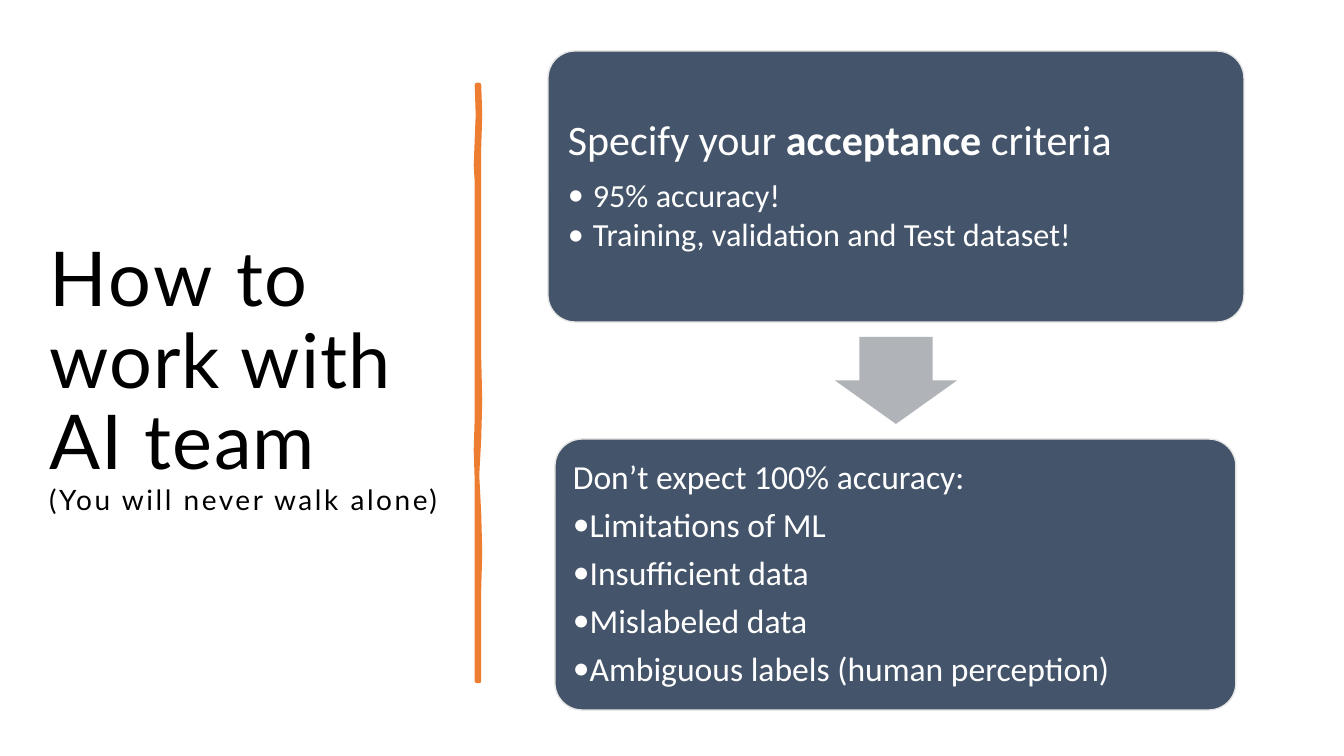
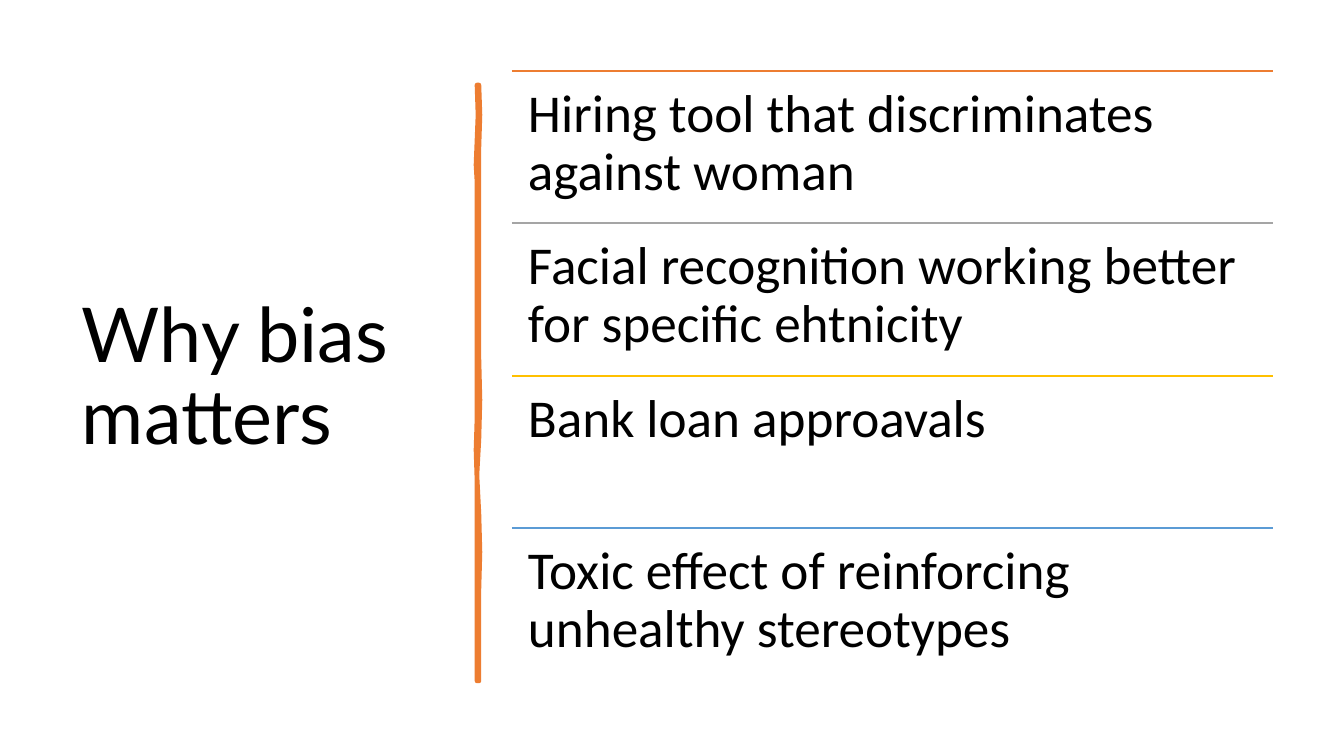
import pptx
import pptx.util
import pptx.dml.color
import pptx.enum.shapes
import pptx.enum.text
import pptx.oxml.ns
from lxml import etree

PX = 12192000 / 1344
INK = {"text": "000000", "white": "FFFFFF", "card": "44546A", "edge": "E7E6E6",
       "arrow": "B0B4B9", "orange": "ED7D31", "gray": "A5A5A5",
       "gold": "FFC000", "blue": "5B9BD5"}
RGB = {name: pptx.dml.color.RGBColor.from_string(code) for name, code in INK.items()}
KIND = pptx.enum.shapes.MSO_SHAPE
MID = pptx.enum.text.MSO_ANCHOR.MIDDLE
TOP = pptx.enum.text.MSO_ANCHOR.TOP

# Outline of the brush stroke: down the right edge, up the left
BRUSH = [(479, 85), (480, 115), (479, 147), (479, 228), (479, 296), (479, 359),
         (480, 400), (479, 439), (477, 475), (479, 514), (480, 552), (479, 589),
         (479, 681), (477, 681), (477, 618), (477, 561), (477, 481), (476, 450),
         (477, 418), (477, 338), (477, 252), (477, 182), (476, 165), (478, 115),
         (477, 85)]


def emu(*sizes):
    return [round(size * PX) for size in sizes]


def write(frame, rows, font, ink, inset, anchor):
    """Fill a frame with rows of (pieces, size, space after, bullet indent or None)."""
    frame.word_wrap = True
    frame.vertical_anchor = anchor
    frame.margin_left = frame.margin_right = frame.margin_top = frame.margin_bottom = emu(inset)[0]
    frame.text = "\n".join(row[0][0] for row in rows)
    for para, (pieces, size, after, dent) in zip(frame.paragraphs, rows):
        para.alignment = pptx.enum.text.PP_ALIGN.LEFT
        para.line_spacing = 0.9
        para.space_after = pptx.util.Pt(after)
        if dent is not None:
            props = para._p.get_or_add_pPr()
            props.set("marL", str(emu(dent)[0]))
            props.set("indent", str(emu(-dent)[0]))
            face = etree.SubElement(props, pptx.oxml.ns.qn("a:buFont"))
            face.set("typeface", font)
            mark = etree.SubElement(props, pptx.oxml.ns.qn("a:buChar"))
            mark.set("char", "•")
        for piece in pieces[1:]:
            if piece == "\v":
                para.add_line_break()
            else:
                para.add_run().text = piece
        for run in para.runs:
            run.font.name = font
            run.font.size = pptx.util.Pt(size)
            run.font.color.rgb = RGB[ink]


deck = pptx.Presentation()
deck.slide_width, deck.slide_height = emu(1344, 756)

# Shared by both slides: title at the left and a brush stroke beside it
pages = []
for title, left, width in (
        (["How ", "to ", "work with ", "\v", "AI team", "\v", "(You will never walk alone)"], 39, 440),
        (["Why bias matters"], 72, 377)):
    page = deck.slides.add_slide(deck.slide_layouts[6])
    pages.append(page)
    head = page.shapes.add_textbox(*emu(left, 71, width, 616))
    write(head.text_frame, [(title, 54, 0, None)], "Lato", "text", 10, MID)
    pen = page.shapes.build_freeform(*BRUSH[0], scale=PX)
    pen.add_line_segments(BRUSH[1:], close=True)
    brush = pen.convert_to_shape()
    brush.shadow.inherit = False
    brush.fill.solid()
    brush.fill.fore_color.rgb = brush.line.color.rgb = RGB["orange"]
    brush.line.width = pptx.util.Pt(3.25)

work, bias = pages

# Loosen the letters of the first title, in hundredths of a point
words = work.shapes[0].text_frame.paragraphs[0].runs
for run, gap in zip(words, (200, 80, 90, 100, 180)):
    run.font._element.set("spc", str(gap))
words[-1].font.size = pptx.util.Pt(20)

# Two cards joined by an arrow
limits = ["Limitations of ML", "Insufficient data", "Mislabeled data",
          "Ambiguous labels (human perception)"]
cards = [
    (548, 51, 696, 12, [(["Specify your ", "acceptance", " criteria"], 30, 10.5, None),
                        (["95% accuracy!"], 23, 3.45, 25),
                        (["Training, validation and Test dataset!"], 23, 3.45, 25)]),
    (555, 439, 681, 10, [(["Don’t expect 100% accuracy:"], 24, 8.4, None)]
     + [([limit], 24, 8.4, 0) for limit in limits]),
]
for left, top, width, inset, rows in cards:
    card = work.shapes.add_shape(KIND.ROUNDED_RECTANGLE, *emu(left, top, width, 271))
    card.adjustments[0] = 0.1
    card.shadow.inherit = False
    card.fill.solid()
    card.fill.fore_color.rgb = RGB["card"]
    card.line.color.rgb = RGB["edge"]
    card.line.width = pptx.util.Pt(1)
    write(card.text_frame, rows, "Calibri", "white", inset, MID)
    for run in card.text_frame.paragraphs[0].runs:
        run.font.bold = run.text == "acceptance"

arrow = work.shapes.add_shape(KIND.DOWN_ARROW, *emu(835, 337, 122, 87))
arrow.adjustments[0] = 0.6
arrow.adjustments[1] = 0.5
arrow.shadow.inherit = False
arrow.fill.solid()
arrow.fill.fore_color.rgb = RGB["arrow"]
arrow.line.fill.background()

# Four ruled rows
rules = [
    ("orange", "Hiring tool that discriminates against woman"),
    ("gray", "Facial recognition working better for specific ehtnicity"),
    ("gold", "Bank loan approavals"),
    ("blue", "Toxic effect of reinforcing unhealthy stereotypes"),
]
for i, (ink, text) in enumerate(rules):
    top = 71 + 305 * i // 2
    rule = bias.shapes.add_connector(pptx.enum.shapes.MSO_CONNECTOR.STRAIGHT,
                                     *emu(512, top, 1273, top))
    rule.line.color.rgb = RGB[ink]
    rule.line.width = pptx.util.Pt(1)
    etree.SubElement(rule._element.spPr, pptx.oxml.ns.qn("a:effectLst"))
    box = bias.shapes.add_textbox(*emu(512, top, 761, 152))
    write(box.text_frame, [([text], 38, 0, None)], "Calibri", "text", 16, TOP)

deck.save("out.pptx")
